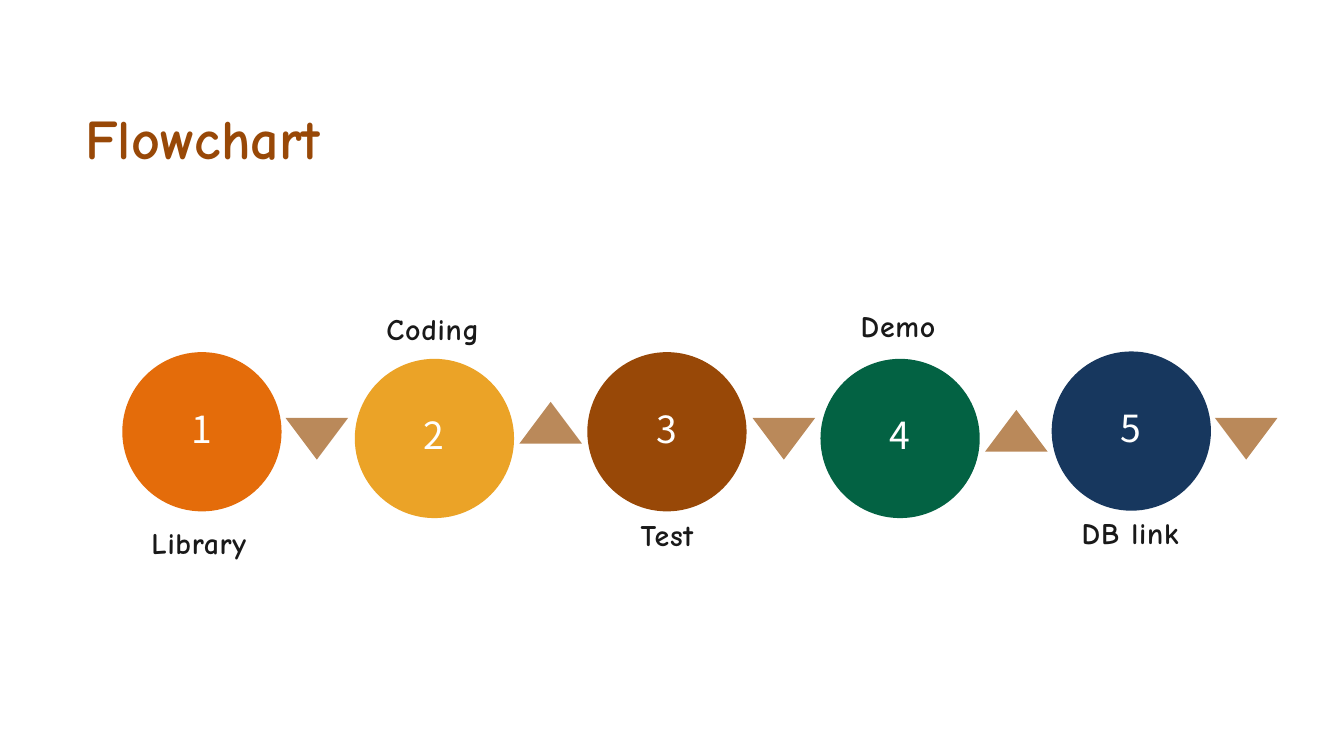
import pptx
import pptx.dml.color
import pptx.enum.shapes
import pptx.enum.text
import pptx.util

Inches = pptx.util.Inches
Pt = pptx.util.Pt
SHAPE = pptx.enum.shapes.MSO_SHAPE
ALIGN = pptx.enum.text.PP_ALIGN
ANCHOR = pptx.enum.text.MSO_ANCHOR

COLORS = {
    "title": "984807", "label": "191919", "number": "FFFFFF", "arrow": "BA895A",
    "orange": "E46C0A", "yellow": "EBA327", "brown": "984807",
    "green": "036243", "navy": "17375E",
}
FORMATS = {
    "title": {"size": Pt(60), "name": "Comic Neue", "bold": True},
    "label": {"size": Pt(32), "name": "Comic Neue", "bold": True},
    "number": {"size": Pt(40), "name": "Noto Sans CJK KR", "bold": False},
}
PARAGRAPHS = {
    "title": {"alignment": ALIGN.LEFT, "line_spacing": 1.4},
    "label": {"alignment": ALIGN.CENTER, "line_spacing": Pt(36.4)},
    "number": {"alignment": ALIGN.CENTER, "line_spacing": Pt(56)},
}
TRACKING = {"title": 0, "label": 80, "number": 120}  # hundredths of a point
DIAMETER = 2.37

deck = pptx.Presentation()
deck.slide_width, deck.slide_height = Inches(20), Inches(11.25)
page = deck.slides.add_slide(deck.slide_layouts[6])


def add_text(text, kind, left, top, width, height, inset=0, anchor=ANCHOR.TOP):
    box = page.shapes.add_textbox(Inches(left), Inches(top), Inches(width), Inches(height))
    frame = box.text_frame
    frame.word_wrap = True
    frame.vertical_anchor = anchor
    for side in ("left", "top", "right", "bottom"):
        setattr(frame, f"margin_{side}", Inches(inset))
    para = frame.paragraphs[0]
    for key, value in PARAGRAPHS[kind].items():
        setattr(para, key, value)
    span = para.add_run()
    span.text = text
    for key, value in FORMATS[kind].items():
        setattr(span.font, key, value)
    span.font.color.rgb = pptx.dml.color.RGBColor.from_string(COLORS[kind])
    if TRACKING[kind]:
        span.font._element.set("spc", str(TRACKING[kind]))


def add_solid(preset, color, left, top, width, height):
    shape = page.shapes.add_shape(preset, Inches(left), Inches(top), Inches(width), Inches(height))
    shape.shadow.inherit = False
    shape.fill.solid()
    shape.fill.fore_color.rgb = pptx.dml.color.RGBColor.from_string(COLORS[color])
    shape.line.fill.background()


# Title
add_text("Flowchart", "title", 1.27, 1.14, 16.13, 1.41)

# Steps: label, colour, circle left and top, label left, top and width
steps = [
    ("Library", "orange", 1.82, 5.24, 1.63, 7.84, 2.66),
    ("Coding", "yellow", 5.28, 5.34, 5.28, 4.65, 2.32),
    ("Test", "brown", 8.74, 5.24, 8.85, 7.71, 2.15),
    ("Demo", "green", 12.21, 5.34, 12.26, 4.6, 2.21),
    ("DB link", "navy", 15.65, 5.23, 15.35, 7.68, 2.94),
]
for number, (label, color, left, top, label_left, label_top, label_width) in enumerate(steps, 1):
    add_solid(SHAPE.OVAL, color, left, top, DIAMETER, DIAMETER)
    add_text(str(number), "number", left + 0.22, top, 1.92, 2.15, 0.06, ANCHOR.MIDDLE)
    add_text(label, "label", label_left, label_top, label_width, 0.5)

# Triangles after each step, pointing down and up in turn
triangles = [(4.25, 6.22), (7.73, 5.98), (11.2, 6.22), (14.66, 6.1), (18.08, 6.22)]
for index, (left, top) in enumerate(triangles):
    preset = SHAPE.ISOSCELES_TRIANGLE if index % 2 else SHAPE.FLOWCHART_MERGE
    add_solid(preset, "arrow", left, top, 0.93, 0.62)

deck.save("out.pptx")
